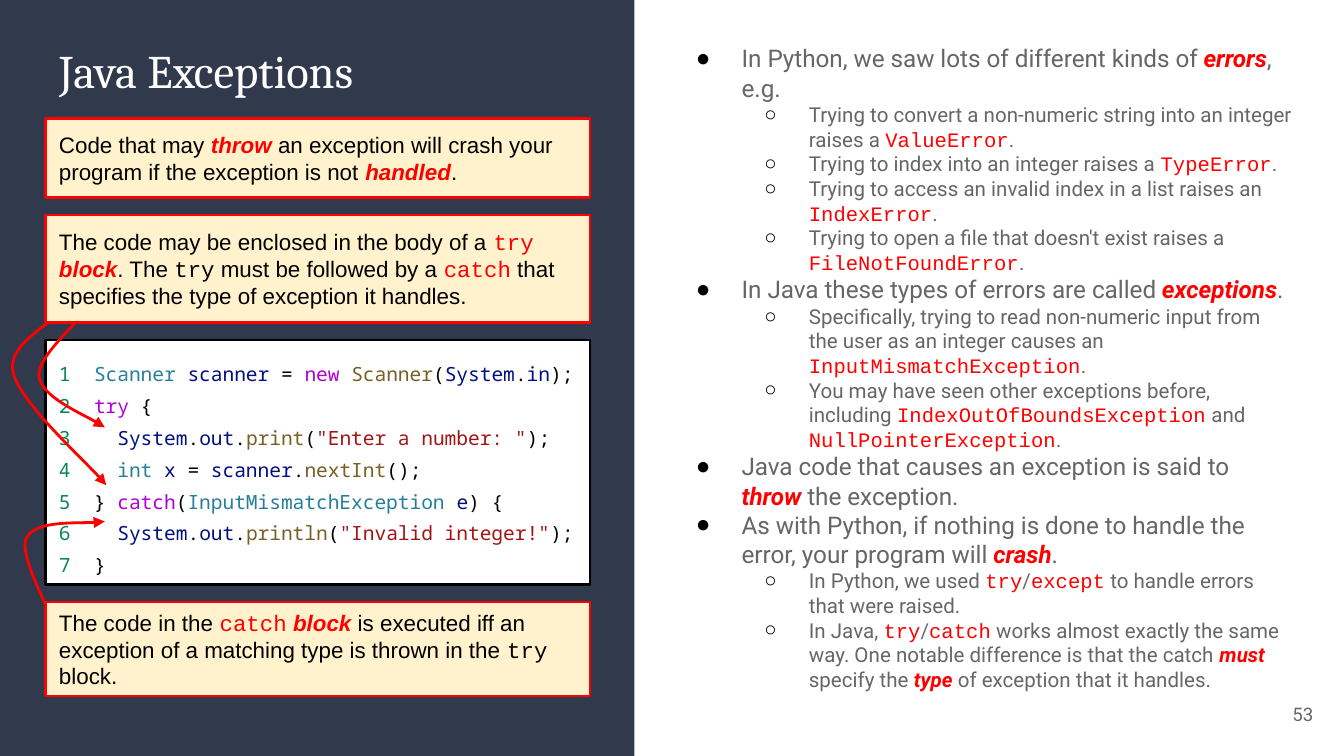
from dataclasses import dataclass
from typing import NamedTuple

from lxml.etree import SubElement
from pptx import Presentation
from pptx.dml.color import RGBColor
from pptx.enum.shapes import MSO_SHAPE as Shape
from pptx.enum.text import MSO_ANCHOR as Anchor, PP_ALIGN as Align
from pptx.oxml.ns import qn
from pptx.util import Inches, Pt

NAVY = RGBColor(0x31, 0x39, 0x4D)
CREAM = RGBColor(0xFF, 0xF2, 0xCC)
WHITE = RGBColor(0xFF, 0xFF, 0xFF)
BLACK = RGBColor(0, 0, 0)
RED = RGBColor(0xFF, 0, 0)
GRAY = RGBColor(0x66, 0x66, 0x66)

# Syntax colours, by the letter that opens each piece of a code line
SYNTAX = {
    "n": RGBColor(0x09, 0x86, 0x58),  # line number
    "t": RGBColor(0x26, 0x7F, 0x99),  # type
    "v": RGBColor(0x00, 0x10, 0x80),  # variable
    "k": RGBColor(0xAF, 0x00, 0xDB),  # keyword
    "f": RGBColor(0x79, 0x5E, 0x26),  # function
    "s": RGBColor(0xA3, 0x15, 0x15),  # string
    "p": BLACK,                       # punctuation
}
MONO = "Courier New"
SLIDE_WIDTH, SLIDE_HEIGHT = Inches(10), Inches(10) * 9 // 16
BOX_LEFT, BOX_WIDTH = 0.34, 4.05


class Style(NamedTuple):
    size: float
    font: str
    color: RGBColor


@dataclass
class Callout:
    top: float
    height: float
    text: str


@dataclass
class Bullet:
    level: int
    text: str


@dataclass
class Arrow:
    points: list[tuple[float, float]]  # start, then three points per curve


# In prose, "|" splits runs: * is red bold italic, ` red code, ~ plain code
THROW = Callout(0.88, 0.59, "Code that may |*throw |an exception will crash your program "
                "if the exception is not |*handled|.")
TRY = Callout(1.6, 0.8, "The code may be enclosed in the body of a |`try| |*block|. The |~try"
              "| must be followed by a |`catch| that specifies the type of exception it handles.")
CATCH = Callout(4.48, 0.7, "The code in the |`catch| |*block| is executed iff an exception of a "
                "matching type is thrown in the |~try| block.")

BULLETS = [
    Bullet(0, "In Python, we saw lots of different kinds of |*errors|, e.g."),
    Bullet(1, "Trying to convert a non-numeric string into an integer raises a |`ValueError|."),
    Bullet(1, "Trying to index into an integer raises a |`TypeError|."),
    Bullet(1, "Trying to access an invalid index in a list raises an |`IndexError|."),
    Bullet(1, "Trying to open a file that doesn't exist raises a |`FileNotFoundError|."),
    Bullet(0, "In Java these types of errors are called |*exceptions|."),
    Bullet(1, "Specifically, trying to read non-numeric input from the user as an integer "
              "causes an |`InputMismatchException|."),
    Bullet(1, "You may have seen other exceptions before, including "
              "|`IndexOutOfBoundsException| and |`NullPointerException|."),
    Bullet(0, "Java code that causes an exception is said to |*throw |the exception."),
    Bullet(0, "As with Python, if nothing is done to handle the error, your program will "
              "|*crash|."),
    Bullet(1, "In Python, we used |`try|/|`except| to handle errors that were raised."),
    Bullet(1, "In Java, |`try|/|`catch| works almost exactly the same way. One notable "
              "difference is that the catch |*must |specify the |*type "
              "|of exception that it handles."),
]

CODE = [
    "n1  |tScanner |vscanner|p = |knew |tScanner|p(|vSystem|p.|vin|p);".replace(
        "|tScanner|", "|fScanner|"),
    "n2  |ktry|p {",
    'n3    |vSystem|p.|vout|p.|fprint|p(|s"Enter a number: "|p);',
    "n4    |tint |vx|p = |vscanner|p.|fnextInt|p();",
    "n5|p  } |kcatch|p(|tInputMismatchException |ve|p) {",
    'n6    |vSystem|p.|vout|p.|fprintln|p(|s"Invalid integer!"|p);',
    "n7  |p}",
]

TRY_ARROWS = [
    Arrow([(0.65, 2.3), (0.59, 2.39), (0.27, 2.66), (0.29, 2.8),
           (0.31, 2.95), (0.7, 3.12), (0.78, 3.18)]),
    Arrow([(0.42, 2.34), (0.37, 2.42), (0.04, 2.57), (0.1, 2.78),
           (0.16, 3), (0.68, 3.47), (0.79, 3.61)]),
]
CATCH_ARROW = Arrow([(0.49, 4.82), (0.44, 4.68), (0.15, 4.18), (0.19, 4.02),
                     (0.24, 3.87), (0.68, 3.9), (0.78, 3.88)])


def set_frame(tf, anchor) -> None:
    tf.word_wrap = True
    tf.vertical_anchor = anchor
    tf.margin_left = tf.margin_right = tf.margin_top = tf.margin_bottom = Inches(0.1)


def add_run(p, text: str, style: Style):
    r = p.add_run()
    r.text = text
    r.font.size, r.font.name = Pt(style.size), style.font
    r.font.color.rgb = style.color
    return r


def add_prose(p, text: str, style: Style) -> None:
    for part in text.split("|"):
        mark = part[0] if part[0] in "*`~" else ""
        color = RED if mark in ("*", "`") else style.color
        font = MONO if mark in ("`", "~") else style.font
        r = add_run(p, part[len(mark):], Style(style.size, font, color))
        if mark == "*":
            r.font.bold = r.font.italic = True


def set_bullet(p, level: int) -> None:
    p.level = level
    pPr = p._p.get_or_add_pPr()
    pPr.set("marL", str(Inches(0.5 * (level + 1))))
    pPr.set("indent", str(Inches((-0.34, -0.33)[level])))
    color = SubElement(pPr, qn("a:buClr"))
    SubElement(color, qn("a:srgbClr"), val=str(BLACK))
    SubElement(pPr, qn("a:buFont"), typeface="Arial")
    SubElement(pPr, qn("a:buChar"), char="●○"[level])


def add_box(s, left: float, top: float, width: float, height: float,
            fill: RGBColor, line: RGBColor | None = None):
    sp = s.shapes.add_shape(Shape.RECTANGLE, Inches(left), Inches(top),
                            Inches(width), Inches(height))
    sp.shadow.inherit = False
    sp.fill.solid()
    sp.fill.fore_color.rgb = fill
    if line is None:
        sp.line.fill.background()
    else:
        sp.line.color.rgb = line
        sp.line.width = Pt(1.5)
    return sp


def add_callout(s, c: Callout) -> None:
    tf = add_box(s, BOX_LEFT, c.top, BOX_WIDTH, c.height, CREAM, RED).text_frame
    set_frame(tf, Anchor.MIDDLE)
    p = tf.paragraphs[0]
    p.alignment = Align.LEFT
    add_prose(p, c.text, Style(12, "Arial", BLACK))


def add_arrow(s, arrow: Arrow) -> None:
    start, *rest = [(Inches(x), Inches(y)) for x, y in arrow.points]
    builder = s.shapes.build_freeform(*start)
    builder.add_line_segments(rest, close=False)
    sp = builder.convert_to_shape()
    sp.shadow.inherit = False
    sp.fill.background()
    sp.line.color.rgb = RED
    sp.line.width = Pt(1.5)
    SubElement(sp.line._get_or_add_ln(), qn("a:tailEnd"), type="triangle")
    # Turn every three segments into one cubic curve
    path = sp._element.find(".//" + qn("a:path"))
    segments = path.findall(qn("a:lnTo"))
    for i in range(0, len(segments), 3):
        curve = SubElement(path, qn("a:cubicBezTo"))
        for segment in segments[i:i + 3]:
            curve.append(segment[0])
            path.remove(segment)


def add_text_box(s, left: float, top: float, width: float, height: float):
    tf = s.shapes.add_textbox(Inches(left), Inches(top), Inches(width), Inches(height)).text_frame
    set_frame(tf, Anchor.MIDDLE)
    return tf


def main() -> None:
    prs = Presentation()
    prs.slide_width, prs.slide_height = SLIDE_WIDTH, SLIDE_HEIGHT
    s = prs.slides.add_slide(prs.slide_layouts[5])

    # Left panel, behind the title
    panel = add_box(s, 0, 0, 4.72, SLIDE_HEIGHT.real / Inches(1), NAVY)
    title = s.shapes.title
    title._element.addprevious(panel._element)
    title.left, title.top = Inches(BOX_LEFT), Inches(0.21)
    title.width, title.height = Inches(BOX_WIDTH), Inches(0.7)
    set_frame(title.text_frame, Anchor.TOP)
    p = title.text_frame.paragraphs[0]
    p.alignment = Align.LEFT
    add_run(p, "Java Exceptions", Style(25, "Cambria", WHITE))

    # Bulleted notes
    tf = add_text_box(s, 4.92, 0.13, 4.8, 5.21)
    for i, bullet in enumerate(BULLETS):
        p = tf.add_paragraph() if i else tf.paragraphs[0]
        set_bullet(p, bullet.level)
        add_prose(p, bullet.text, Style((13, 11)[bullet.level], "Roboto", GRAY))

    # Slide number
    p = add_text_box(s, 9.27, 5.1, 0.6, 0.43).paragraphs[0]
    p.alignment = Align.RIGHT
    add_run(p, "53", Style(10, "Roboto", GRAY))

    # Code listing
    tf = add_box(s, BOX_LEFT, 2.53, BOX_WIDTH, 1.82, WHITE, BLACK).text_frame
    set_frame(tf, Anchor.TOP)
    for i, line in enumerate(CODE):
        p = tf.add_paragraph() if i else tf.paragraphs[0]
        p.alignment = Align.LEFT
        p.line_spacing = 1.36
        for part in line.split("|"):
            add_run(p, part[1:], Style(10.5, "Noto Sans Mono", SYNTAX[part[0]]))

    # Callouts and the arrows that lead from them into the code
    add_callout(s, THROW)
    for arrow in TRY_ARROWS:
        add_arrow(s, arrow)
    add_callout(s, TRY)
    add_arrow(s, CATCH_ARROW)
    add_callout(s, CATCH)

    prs.save("out.pptx")


if __name__ == "__main__":
    main()
